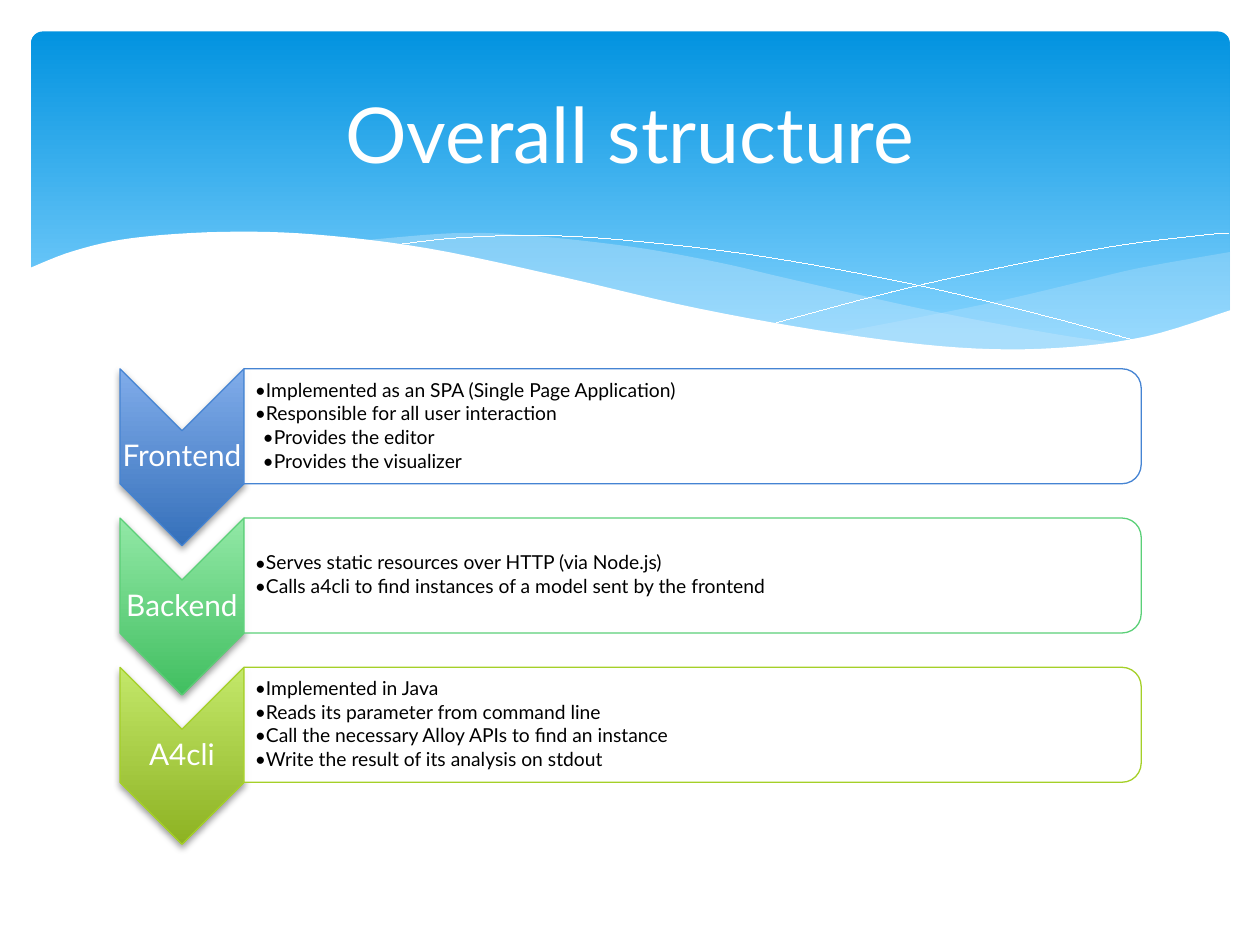
from lxml.etree import SubElement
from pptx import Presentation
from pptx.dml.color import RGBColor
from pptx.enum.shapes import MSO_SHAPE
from pptx.enum.text import MSO_ANCHOR, PP_ALIGN
from pptx.oxml.ns import qn
from pptx.util import Pt

FONT = "Lato"
WHITE = RGBColor(0xFF, 0xFF, 0xFF)
BLACK = RGBColor(0x00, 0x00, 0x00)
SKY_TOP = RGBColor(0x02, 0x93, 0xE0)
SKY_BOTTOM = RGBColor(0x83, 0xD3, 0xFE)
MIST = RGBColor(0xC6, 0xE7, 0xFC)
BLUES = (RGBColor(0x80, 0xAC, 0xEA), RGBColor(0x35, 0x70, 0xBA), RGBColor(0x45, 0x84, 0xD3))
GREENS = (RGBColor(0x92, 0xE8, 0xA6), RGBColor(0x41, 0xBF, 0x60), RGBColor(0x5B, 0xD0, 0x78))
LIMES = (RGBColor(0xC3, 0xE8, 0x6A), RGBColor(0x8D, 0xB2, 0x22), RGBColor(0xA5, 0xD0, 0x28))

# Each layer: name, light / dark / line colours, (level, text) points
LAYERS = [
    ("Frontend", BLUES, [
        (1, "Implemented as an SPA (Single Page Application)"),
        (1, "Responsible for all user interaction"),
        (2, "Provides the editor"),
        (2, "Provides the visualizer")]),
    ("Backend", GREENS, [
        (1, "Serves static resources over HTTP (via Node.js)"),
        (1, "Calls a4cli to find instances of a model sent by the frontend")]),
    ("A4cli", LIMES, [
        (1, "Implemented in Java"),
        (1, "Reads its parameter from command line"),
        (1, "Call the necessary Alloy APIs to find an instance"),
        (1, "Write the result of its analysis on stdout")]),
]
LAYER_TOP, LAYER_PITCH = 210.75, 85.3
LEFT, CHEVRON_W, CHEVRON_H = 68.6, 70.8, 101.1
PANEL_W, PANEL_H = 512.7, 65.7

# Knots of the waves under the title banner
RIGHT_WAVE = [
    [(703, 144), (652, 153), (620, 160.5), (561, 174.2), (476, 190.8)],
    [(476, 190.8), (527, 197.3), (578, 200), (621, 198), (668, 189.4), (703, 177.8)]]
MIDDLE_WAVE = [
    [(643, 196.6), (602.5, 190.8), (534, 178), (453, 159.8), (410, 149.8),
     (361, 141), (302.5, 134.6), (260, 133.2), (206, 137.5)],
    [(206, 137.5), (261, 146.2), (323, 159.8), (407.5, 178.5), (479, 191.5),
     (530, 198), (581, 200), (643, 196.6)]]
WHITE_WAVE = [
    [(703.5, 177.1), (655, 192.2), (603, 198.9), (548, 198.6), (481, 190.8),
     (399.6, 176.4), (322, 158.4), (245, 142), (180, 134), (127, 132.5),
     (76, 136), (42.5, 143.3), (16.5, 153.4)],
    [(16.5, 237), (703.5, 237)]]
FALLING_LINE = [
    [(222.5, 140.4), (261, 136), (312, 134.6), (367, 138.2), (438, 146.9),
     (523, 162.7), (598, 180.7), (653, 195.8)]]
RISING_LINE = [
    [(441.4, 185), (500, 169.2), (559, 155.5), (634, 141.1), (685, 134.6), (702, 133.2)]]


def smooth(knots, steps=6):
    """Points of a Catmull-Rom curve through the knots."""
    if len(knots) < 3:
        return knots
    padded = [knots[0], *knots, knots[-1]]
    points = []
    for a, b, c, d in zip(padded, padded[1:], padded[2:], padded[3:]):
        for i in range(steps):
            t = i / steps
            points.append(tuple(
                q + t * (r - p) / 2
                + t ** 2 * (2 * p - 5 * q + 4 * r - s) / 2
                + t ** 3 * (3 * q - p - 3 * r + s) / 2
                for p, q, r, s in zip(a, b, c, d)))
    return points + [knots[-1]]


def add_wave(s, curves, fill=None, opacity=100):
    """Filled wave, or a white hairline when no fill is given."""
    points = [(Pt(x), Pt(y)) for knots in curves for x, y in smooth(knots)]
    builder = s.shapes.build_freeform(*points[0])
    builder.add_line_segments(points[1:], close=fill is not None)
    sp = builder.convert_to_shape()
    sp.shadow.inherit = False
    if fill is None:
        # The theme style would override a zero line width
        sp._element.remove(sp._element.find(qn("p:style")))
        sp.fill.background()
        sp.line.color.rgb = WHITE
        sp.line.width = Pt(0)
    else:
        set_fill(sp, fill, opacity)
        sp.line.fill.background()


def set_fill(sp, color, opacity=100):
    sp.fill.solid()
    sp.fill.fore_color.rgb = color
    if opacity < 100:
        clr = sp._element.spPr.find(qn("a:solidFill"))[0]
        SubElement(clr, qn("a:alpha"), val=str(opacity * 1000))


def set_gradient(sp, top, bottom, end=1.0):
    """Vertical gradient that stays upright on turned shapes."""
    sp.fill.gradient()
    sp.fill.gradient_angle = 270
    for stop, color, position in zip(sp.fill.gradient_stops, (top, bottom), (0, end)):
        stop.color.rgb = color
        stop.position = position
    sp._element.spPr.find(qn("a:gradFill")).set("rotWithShape", "0")


def add_shape(s, kind, x, y, w, h, line=None, turned=False):
    """Shape seen at x, y, w, h; a turned one is rotated by 90 degrees."""
    if turned:
        x, y, w, h = x + (w - h) / 2, y + (h - w) / 2, h, w
    sp = s.shapes.add_shape(kind, Pt(x), Pt(y), Pt(w), Pt(h))
    sp.rotation = 90 if turned else 0
    sp.shadow.inherit = False
    if line is None:
        sp.line.fill.background()
    else:
        sp.line.color.rgb = line
        sp.line.width = Pt(0.75)
    return sp


def add_drop_shadow(sp):
    effects = sp._element.spPr.find(qn("a:effectLst"))
    shadow = SubElement(effects, qn("a:outerShdw"), blurRad=str(Pt(4)),
                        dist=str(Pt(2)), dir="5400000", rotWithShape="0")
    clr = SubElement(shadow, qn("a:srgbClr"), val=str(BLACK))
    SubElement(clr, qn("a:alpha"), val="38000")


def write(p, text, size, color, align=PP_ALIGN.LEFT, spacing=None, after=0, level=0):
    """Fill a paragraph; level 1 and above get a bullet and an indent."""
    r = p.add_run()
    r.text = text
    r.font.name, r.font.size, r.font.color.rgb = FONT, Pt(size), color
    p.alignment, p.line_spacing, p.space_after = align, spacing, Pt(after)
    if level:
        p.level = level
        pPr = p._p.get_or_add_pPr()
        pPr.set("marL", str(Pt(4.5 * level)))
        pPr.set("indent", str(Pt(-4.5)))
        SubElement(pPr, qn("a:buFont"), typeface=FONT)
        SubElement(pPr, qn("a:buChar"), char="••")


def add_text_frame(s, x, y, w, h, left_inset=0.7):
    tf = s.shapes.add_textbox(Pt(x), Pt(y), Pt(w), Pt(h)).text_frame
    tf.word_wrap = True
    tf.vertical_anchor = MSO_ANCHOR.MIDDLE
    tf.margin_left = Pt(left_inset)
    tf.margin_top = tf.margin_right = tf.margin_bottom = Pt(0.7)
    return tf


def add_banner(s):
    sky = add_shape(s, MSO_SHAPE.ROUNDED_RECTANGLE, 17.8, 18, 684.9, 194.4)
    sky.adjustments[0] = 0.034
    set_gradient(sky, SKY_TOP, SKY_BOTTOM, end=0.9)
    add_wave(s, RIGHT_WAVE, MIST, 29)
    add_wave(s, MIDDLE_WAVE, MIST, 40)
    add_wave(s, FALLING_LINE)
    add_wave(s, RISING_LINE)
    add_wave(s, WHITE_WAVE, WHITE)


def add_title(s, text):
    title = s.shapes.title
    s.shapes._spTree.append(title._element)  # in front of the banner
    title.left, title.top, title.width, title.height = Pt(36), Pt(26.6), Pt(648), Pt(98.6)
    title.text_frame.vertical_anchor = MSO_ANCHOR.MIDDLE
    write(title.text_frame.paragraphs[0], text, 44, WHITE, align=PP_ALIGN.CENTER)


def add_layer(s, y, name, colors, points):
    light, dark, line = colors
    chevron = add_shape(s, MSO_SHAPE.CHEVRON, LEFT, y, CHEVRON_W, CHEVRON_H, line, turned=True)
    set_gradient(chevron, light, dark)
    add_drop_shadow(chevron)
    tf = add_text_frame(s, LEFT, y + CHEVRON_W / 2, CHEVRON_W, CHEVRON_H - CHEVRON_W)
    write(tf.paragraphs[0], name, 17, WHITE, align=PP_ALIGN.CENTER, spacing=0.9)

    panel_x = LEFT + CHEVRON_W
    panel = add_shape(s, MSO_SHAPE.ROUND_2_SAME_RECTANGLE, panel_x, y, PANEL_W, PANEL_H,
                      line, turned=True)
    set_fill(panel, WHITE, 90)
    tf = add_text_frame(s, panel_x, y + 3.2, PANEL_W - 3.2, PANEL_H - 6.4, left_inset=6.2)
    for i, (level, text) in enumerate(points):
        p = tf.add_paragraph() if i else tf.paragraphs[0]
        write(p, text, 11, BLACK, spacing=0.9, after=1.65, level=level)


def main():
    prs = Presentation()
    prs.slide_width, prs.slide_height = Pt(720), Pt(540)
    s = prs.slides.add_slide(prs.slide_layouts[5])
    add_banner(s)
    add_title(s, "Overall structure")
    for i, layer in enumerate(LAYERS):
        add_layer(s, LAYER_TOP + i * LAYER_PITCH, *layer)
    prs.save("out.pptx")


if __name__ == "__main__":
    main()
